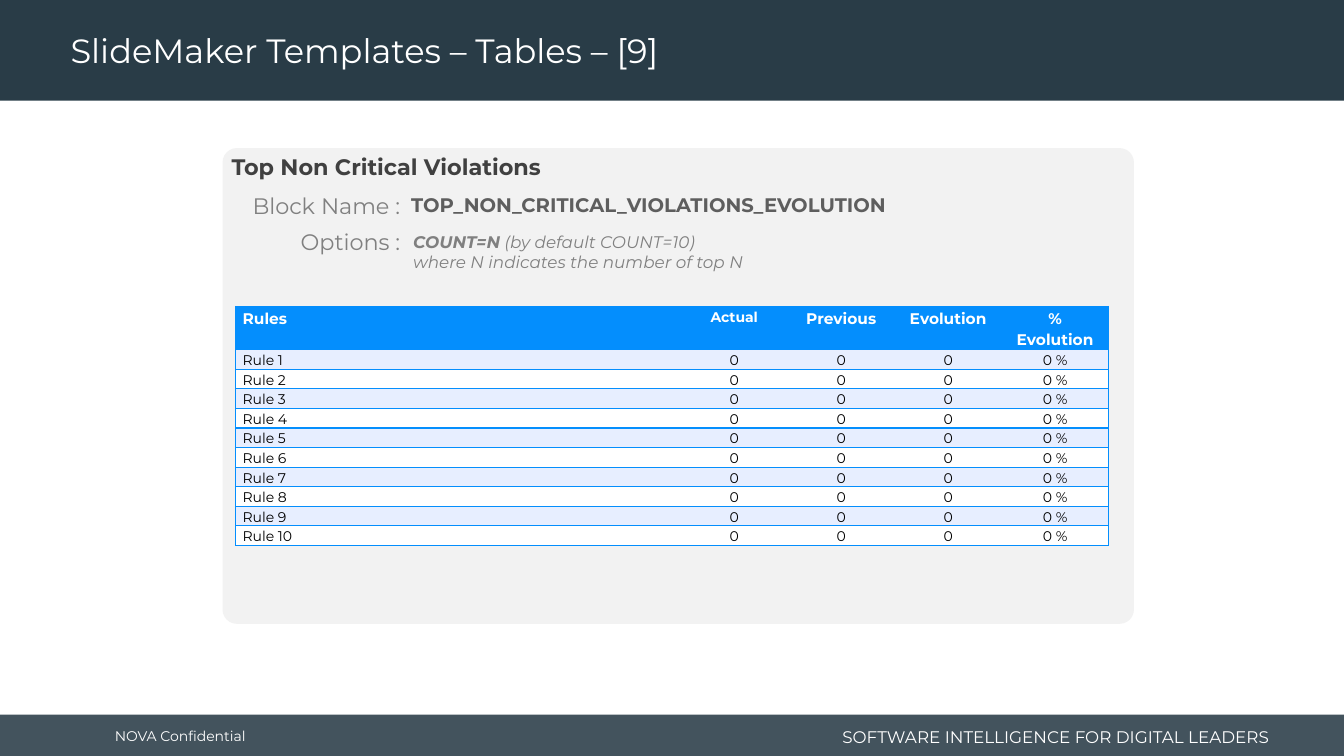
from dataclasses import dataclass

from lxml.etree import SubElement
from pptx import Presentation
from pptx.dml.color import RGBColor
from pptx.enum.shapes import MSO_SHAPE as Shape
from pptx.enum.text import MSO_ANCHOR as Anchor, MSO_AUTO_SIZE as AutoSize, PP_ALIGN as Align
from pptx.oxml.ns import qn
from pptx.util import Pt


@dataclass(frozen=True)
class Theme:
    font: str = "Montserrat"
    bar: str = "293C47"
    panel: str = "F2F2F2"
    white: str = "FFFFFF"
    black: str = "000000"
    heading: str = "404040"
    block: str = "5E5E5E"
    muted: str = "808080"
    accent: str = "048EFD"
    band: str = "E7EEFF"
    title_size: float = 24
    heading_size: float = 16
    block_size: float = 14
    note_size: float = 12
    header_size: float = 11
    small_size: float = 10


@dataclass(frozen=True)
class Box:
    left: float
    top: float
    width: float
    height: float

    def points(self) -> tuple:
        return Pt(self.left), Pt(self.top), Pt(self.width), Pt(self.height)


@dataclass(frozen=True)
class Span:
    text: str
    bold: bool = False


@dataclass(frozen=True)
class Label:
    box: Box
    lines: tuple
    size: float
    color: str
    italic: bool = False
    align: Align = Align.LEFT
    wrap: bool = True
    anchor: Anchor = Anchor.TOP
    side_inset: float = 7.2


@dataclass(frozen=True)
class Panel:
    box: Box
    color: str
    shape: Shape = Shape.RECTANGLE
    opacity: int = 100
    corner: float = 0


THEME = Theme()
PANELS = (
    Panel(Box(0, 510.5, 960, 29.5), THEME.bar, opacity=88),
    Panel(Box(0, 0, 960, 72), THEME.bar),
    Panel(Box(159, 105.8, 651, 339.8), THEME.panel, Shape.ROUNDED_RECTANGLE, corner=0.03),
)
LABELS = (
    Label(Box(74.9, 512, 106.6, 28), ((Span("NOVA Confidential"),),), THEME.small_size,
          THEME.white, wrap=False, anchor=Anchor.MIDDLE),
    Label(Box(583.9, 514.8, 329.8, 23), ((Span("SOFTWARE INTELLIGENCE FOR DIGITAL LEADERS"),),),
          THEME.note_size, THEME.white, align=Align.RIGHT, anchor=Anchor.MIDDLE),
    Label(Box(151, 105.8, 641.5, 26.6), ((Span("Top Non Critical Violations", True),),),
          THEME.heading_size, THEME.heading, side_inset=14.4),
    Label(Box(286.6, 134, 522, 24.5), ((Span("TOP_NON_CRITICAL_VIOLATIONS_EVOLUTION", True),),),
          THEME.block_size, THEME.block),
    Label(Box(172.8, 134, 120.2, 26.6), ((Span("Block Name :"),),), THEME.heading_size,
          THEME.muted, align=Align.RIGHT, wrap=False),
    Label(Box(288, 162, 522, 36),
          ((Span("COUNT=N", True), Span(" (by default COUNT=10)")),
           (Span("where N indicates the number of top N"),)),
          THEME.note_size, THEME.muted, italic=True),
    Label(Box(205.9, 159.1, 87.1, 26.6), ((Span("Options :"),),), THEME.heading_size,
          THEME.muted, align=Align.RIGHT, wrap=False),
)
TABLE_BOX = Box(168.3, 218.9, 623.6, 157)
COLUMN_WIDTHS = (318, 76.4, 76.4, 76.4, 76.4)
HEADER_HEIGHT = 30
HEADERS = ("Rules", "Actual", "Previous", "Evolution", "% Evolution")
RULES = tuple((f"Rule {number}", "0", "0", "0", "0 %") for number in range(1, 11))


def style_font(font, size: float, color: str, bold: bool = False, italic: bool = False) -> None:
    font.name = THEME.font
    font.size = Pt(size)
    font.bold = bold
    font.italic = italic
    font.color.rgb = RGBColor.from_string(color)


def draw_panel(slide, panel: Panel) -> None:
    shape = slide.shapes.add_shape(panel.shape, *panel.box.points())
    shape.shadow.inherit = False
    shape.line.fill.background()
    shape.fill.solid()
    shape.fill.fore_color.rgb = RGBColor.from_string(panel.color)
    if panel.corner:
        shape.adjustments[0] = panel.corner
    if panel.opacity < 100:
        color = shape._element.spPr.find(f"{qn('a:solidFill')}/{qn('a:srgbClr')}")
        SubElement(color, qn("a:alpha"), val=str(panel.opacity * 1000))


def draw_label(slide, label: Label) -> None:
    frame = slide.shapes.add_textbox(*label.box.points()).text_frame
    frame.word_wrap = label.wrap
    frame.auto_size = AutoSize.NONE
    frame.vertical_anchor = label.anchor
    frame.margin_left = frame.margin_right = Pt(label.side_inset)
    for index, line in enumerate(label.lines):
        paragraph = frame.add_paragraph() if index else frame.paragraphs[0]
        paragraph.alignment = label.align
        for span in line:
            run = paragraph.add_run()
            run.text = span.text
            style_font(run.font, label.size, label.color, span.bold, label.italic)


def draw_title(slide, text: str) -> None:
    title = slide.shapes.title
    title.left, title.top, title.width, title.height = Box(43.2, 2.9, 689.8, 69).points()
    slide.shapes._spTree.append(title._element)
    frame = title.text_frame
    frame.text = text
    frame.vertical_anchor = Anchor.MIDDLE
    paragraph = frame.paragraphs[0]
    paragraph.alignment = Align.LEFT
    paragraph.line_spacing = 0.9
    style_font(paragraph.runs[0].font, THEME.title_size, THEME.white)


def set_borders(cell, visible_sides: str) -> None:
    properties = cell._tc.get_or_add_tcPr()
    for side in "LRTB":
        line = SubElement(properties, qn(f"a:ln{side}"), w=str(Pt(1)))
        if side in visible_sides:
            fill = SubElement(line, qn("a:solidFill"))
            SubElement(fill, qn("a:srgbClr"), val=THEME.accent)
        else:
            SubElement(line, qn("a:noFill"))


def draw_cell(cell, text: str, row: int, column: int) -> None:
    is_header = row == 0
    last_column = len(HEADERS) - 1
    set_borders(cell, "TB" + {0: "L", last_column: "R"}.get(column, ""))
    fill = THEME.accent if is_header else THEME.band if row % 2 else THEME.white
    cell.fill.solid()
    cell.fill.fore_color.rgb = RGBColor.from_string(fill)
    cell.margin_left = cell.margin_right = Pt(5)
    cell.margin_top = cell.margin_bottom = Pt(0)
    cell.text_frame.text = text
    paragraph = cell.text_frame.paragraphs[0]
    paragraph.alignment = Align.CENTER if column else Align.LEFT
    paragraph.line_spacing = 1.15
    size = THEME.header_size if is_header and text != "Actual" else THEME.small_size
    style_font(paragraph.runs[0].font, size, THEME.white if is_header else THEME.black, is_header)


def draw_rules_table(slide) -> None:
    records = (HEADERS, *RULES)
    table = slide.shapes.add_table(len(records), len(HEADERS), *TABLE_BOX.points()).table
    for column, width in zip(table.columns, COLUMN_WIDTHS):
        column.width = Pt(width)
    rule_height = (TABLE_BOX.height - HEADER_HEIGHT) / len(RULES)
    for row, record in enumerate(records):
        table.rows[row].height = Pt(rule_height if row else HEADER_HEIGHT)
        for column, text in enumerate(record):
            draw_cell(table.cell(row, column), text, row, column)


def main() -> None:
    deck = Presentation()
    deck.slide_width, deck.slide_height = Pt(960), Pt(540)
    slide = deck.slides.add_slide(deck.slide_layouts.get_by_name("Title Only"))
    for panel in PANELS:
        draw_panel(slide, panel)
    draw_title(slide, "SlideMaker Templates – Tables – [9]")
    for label in LABELS:
        draw_label(slide, label)
    draw_rules_table(slide)
    deck.save("out.pptx")


if __name__ == "__main__":
    main()
